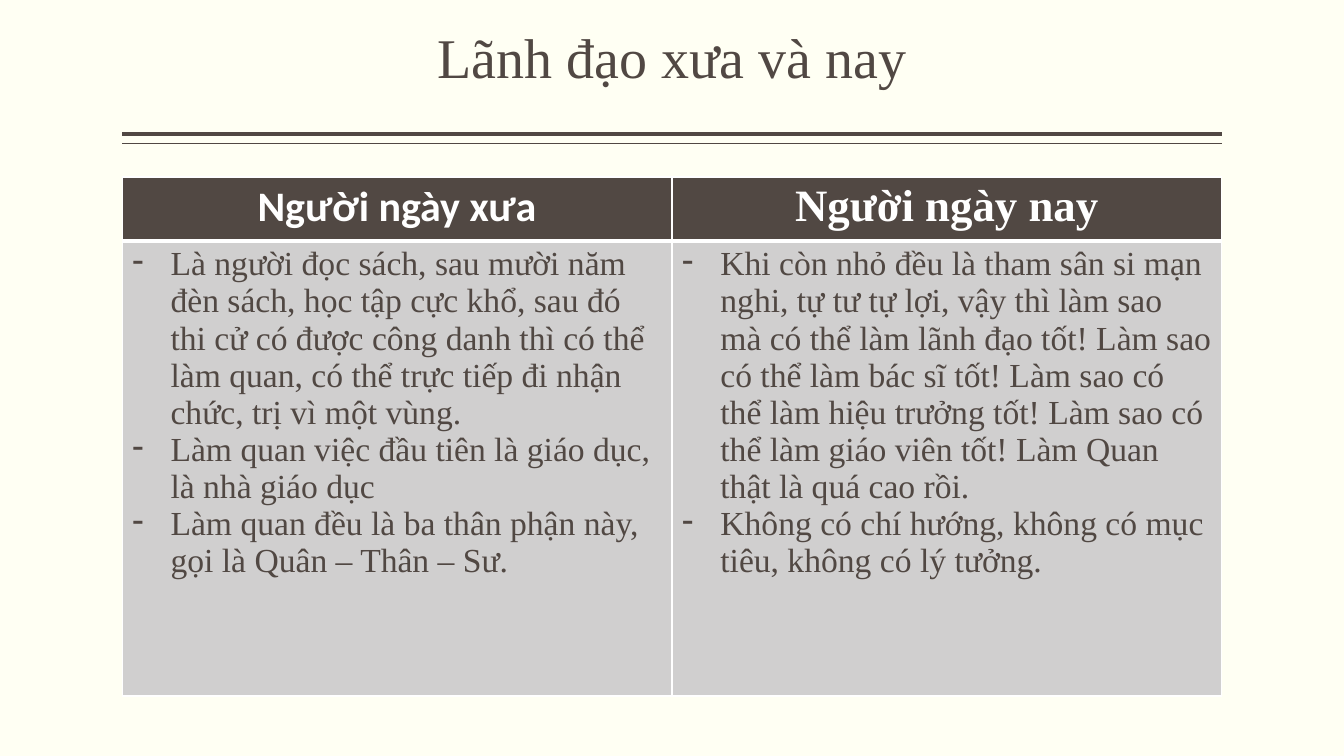
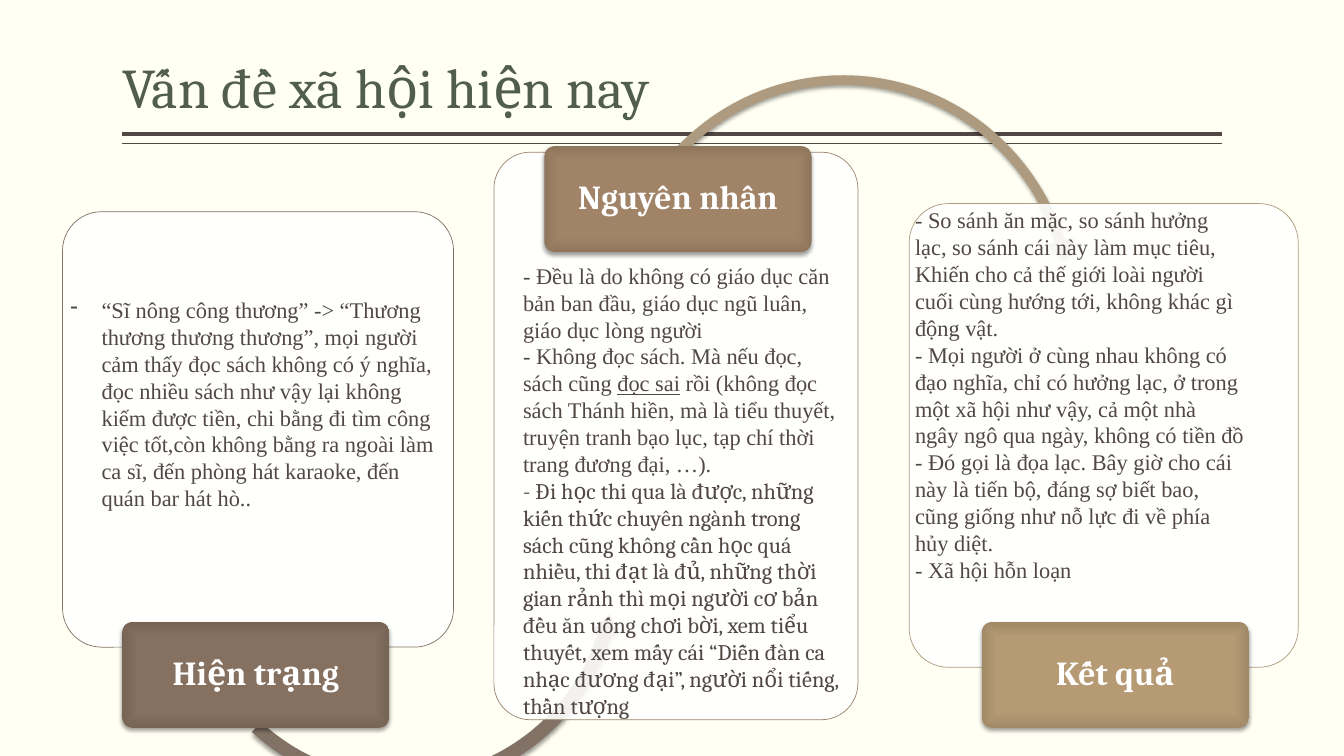
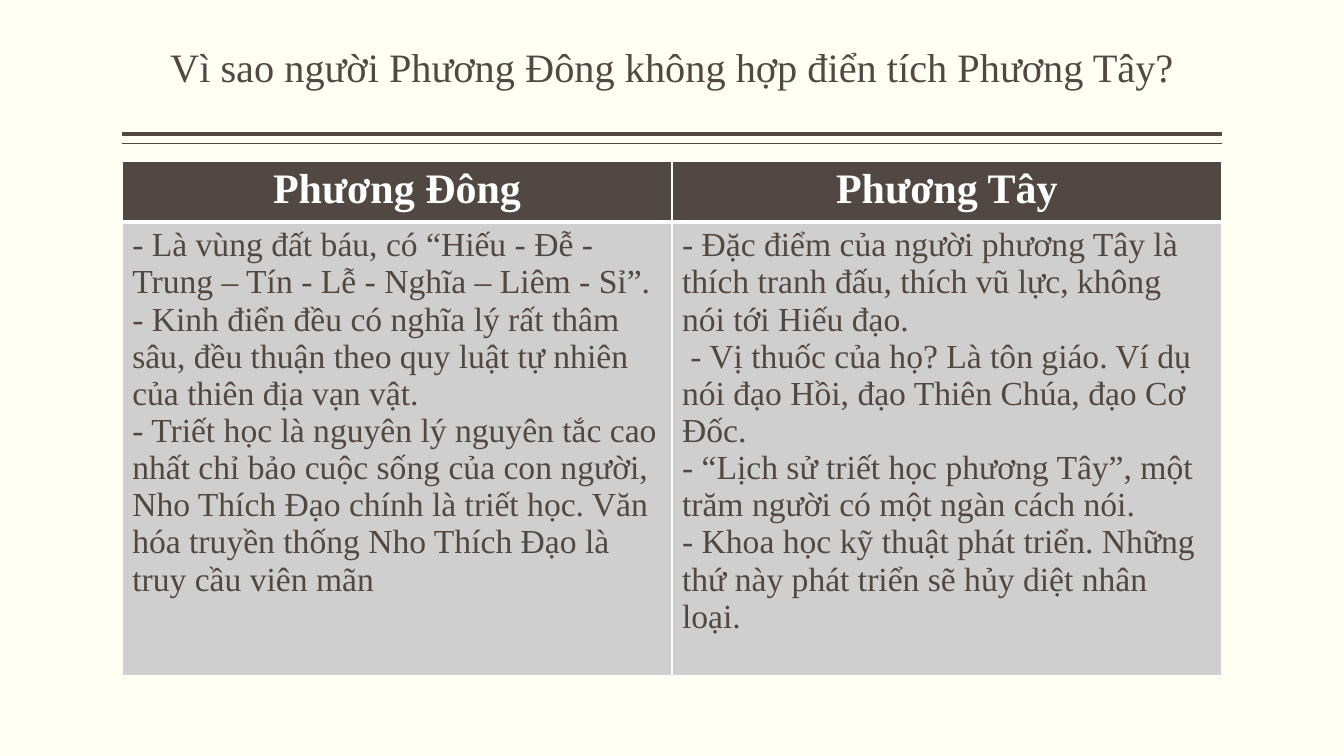
from lxml.etree import SubElement
from pptx import Presentation
from pptx.dml.color import RGBColor
from pptx.enum.shapes import MSO_CONNECTOR, MSO_SHAPE
from pptx.enum.text import MSO_ANCHOR, PP_ALIGN
from pptx.oxml import parse_xml
from pptx.oxml.ns import nsdecls, qn
from pptx.util import Inches, Pt

COLORS = {
    "paper": "FFFFF3", "ink": "514843", "white": "FFFFFF", "cell": "D0CFCF",
    "green": "525E4C", "brown": "827266", "clay": "9A8570", "sand": "AE9A7E",
}
SERIF, CAMBRIA, SANS = "Times New Roman", "Cambria", "Calibri"
LEFT, WIDE = 9.09, 81.82
CARD_EDGE = 0.5
BADGE = (19.88, 14)


def rgb(name):
    return RGBColor.from_string(COLORS.get(name, name))


def write(frame, paras, size=16, font=SERIF, color="ink", bold=False,
          align=PP_ALIGN.LEFT, anchor=MSO_ANCHOR.TOP, spacing=None, hang=None):
    """Fill a frame; a paragraph is a string or a list of (text, format) runs."""
    frame.word_wrap = True
    frame.vertical_anchor = anchor
    for i, runs in enumerate(paras):
        para = frame.paragraphs[0] if i == 0 else frame.add_paragraph()
        para.alignment = align
        if spacing:
            para.line_spacing = spacing
        if hang:
            props = para._p.get_or_add_pPr()
            props.set("marL", str(Inches(hang)))
            props.set("indent", str(-Inches(hang)))
            SubElement(props, qn("a:buChar")).set("char", "-")
        for text, form in [(runs, {})] if isinstance(runs, str) else runs:
            run = para.add_run()
            run.text = text
            run.font.size = Pt(size)
            run.font.name = form.get("font", font)
            run.font.bold = bold
            run.font.underline = form.get("under", False)
            run.font.color.rgb = rgb(color)


class Deck:
    """Style and current slide; lengths are percent of the slide's size."""

    def __init__(self):
        self.show = Presentation()
        self.show.slide_width = Inches(13.33)
        self.show.slide_height = Inches(7.5)
        self.slide = None

    def across(self, share):
        return round(self.show.slide_width * share / 100)

    def down(self, share):
        return round(self.show.slide_height * share / 100)

    def box(self, x, y, w, h):
        return self.across(x), self.down(y), self.across(w), self.down(h)

    def page(self, title, top=1.07, width=WIDE, size=40, **form):
        self.slide = self.show.slides.add_slide(self.show.slide_layouts[6])
        fill = self.slide.background.fill
        fill.solid()
        fill.fore_color.rgb = rgb("paper")
        for y, weight in ((17.73, 3), (19, 1)):
            self.rule(y, weight)
        frame = self.text((LEFT, top, width, 11.6), [title], size=size,
                          anchor=MSO_ANCHOR.BOTTOM, spacing=0.9, **form)
        frame.margin_left = frame.margin_right = 0

    def rule(self, y, weight):
        line = self.slide.shapes.add_connector(
            MSO_CONNECTOR.STRAIGHT, self.across(LEFT), self.down(y),
            self.across(LEFT + WIDE), self.down(y))
        line.line.color.rgb = rgb("ink")
        line.line.width = Pt(weight)
        SubElement(line._element.spPr, qn("a:effectLst"))

    def text(self, box, paras, **form):
        frame = self.slide.shapes.add_textbox(*self.box(*box)).text_frame
        write(frame, paras, **form)
        return frame

    def shape(self, kind, box, fill, adjust, edge=None, shadow=False):
        shape = self.slide.shapes.add_shape(kind, *self.box(*box))
        for i, value in enumerate(adjust):
            shape.adjustments[i] = value
        shape.fill.solid()
        shape.fill.fore_color.rgb = rgb(fill)
        if edge:
            shape.line.color.rgb = rgb(edge)
            shape.line.width = Pt(CARD_EDGE)
        else:
            shape.line.fill.background()
        shape.shadow.inherit = False
        if shadow:
            shape._element.spPr.find(qn("a:effectLst")).append(parse_xml(
                f'<a:outerShdw {nsdecls("a")} blurRad="{Pt(3.1)}" dist="{Pt(2)}" '
                'dir="5400000" rotWithShape="0"><a:srgbClr val="000000">'
                '<a:alpha val="38000"/></a:srgbClr></a:outerShdw>'))
        return shape

    def card(self, box, edge):
        shape = self.shape(MSO_SHAPE.ROUNDED_RECTANGLE, box, "white", [0.1], edge)
        tint = shape._element.spPr.find(qn("a:solidFill"))[0]
        SubElement(tint, qn("a:alpha")).set("val", "90000")

    def badge(self, x, y, label, shades):
        """Label block shaded from its centre to its rim."""
        shape = self.shape(MSO_SHAPE.ROUNDED_RECTANGLE, (x, y, *BADGE),
                           shades[0], [0.1], shadow=True)
        stops = "".join(
            f'<a:gs pos="{pos * 1000}"><a:srgbClr val="{shade}"/></a:gs>'
            for pos, shade in zip((0, 71, 100), shades))
        props = shape._element.spPr
        props.replace(props.find(qn("a:solidFill")), parse_xml(
            f'<a:gradFill {nsdecls("a")} rotWithShape="1"><a:gsLst>{stops}</a:gsLst>'
            '<a:path path="rect"><a:fillToRect l="50000" t="50000" r="50000" '
            'b="50000"/></a:path></a:gradFill>'))
        write(shape.text_frame, [label], size=24, font=CAMBRIA, color="white",
              bold=True, align=PP_ALIGN.CENTER, anchor=MSO_ANCHOR.MIDDLE,
              spacing=0.9)

    def table(self, y, heights, heads, bodies, hang=None):
        """Two-row table; each head is (text, format)."""
        count = len(heads)
        table = self.slide.shapes.add_table(
            2, count, *self.box(LEFT, y, WIDE, sum(heights))).table
        for row, height in zip(table.rows, heights):
            row.height = self.down(height)
        for i, ((head, form), body) in enumerate(zip(heads, bodies)):
            table.columns[i].width = self.across(WIDE / count)
            top, low = table.cell(0, i), table.cell(1, i)
            self.cell(top, "ink", {"B": 3})
            self.cell(low, "cell", {"T": 3})
            write(top.text_frame, [head], color="white", bold=True,
                  align=PP_ALIGN.CENTER, **form)
            write(low.text_frame, body, size=24, hang=hang)

    def cell(self, cell, fill, thick):
        """Fill a cell and draw white borders, 1 pt unless a side is thick."""
        props = cell._tc.get_or_add_tcPr()
        for side in "LRTB":
            line = SubElement(props, qn(f"a:ln{side}"), w=str(Pt(thick.get(side, 1))))
            SubElement(SubElement(line, qn("a:solidFill")), qn("a:srgbClr"),
                       val=COLORS["white"])
        cell.fill.solid()
        cell.fill.fore_color.rgb = rgb(fill)


def past(deck):
    deck.page("Lãnh đạo xưa và nay", align=PP_ALIGN.CENTER)
    deck.table(
        23.4, (8, 60.2),
        [("Người ngày xưa", {"size": 30, "font": SANS}),
         ("Người ngày nay", {"size": 32})],
        [["Là người đọc sách, sau mười năm đèn sách, học tập cực khổ, sau đó thi cử "
          "có được công danh thì có thể làm quan, có thể trực tiếp đi nhận chức, "
          "trị vì một vùng.",
          "Làm quan việc đầu tiên là giáo dục, là nhà giáo dục",
          "Làm quan đều là ba thân phận này, gọi là Quân – Thân – Sư."],
         ["Khi còn nhỏ đều là tham sân si mạn nghi, tự tư tự lợi, vậy thì làm sao mà "
          "có thể làm lãnh đạo tốt! Làm sao có thể làm bác sĩ tốt! Làm sao có thể "
          "làm hiệu trưởng tốt! Làm sao có thể làm giáo viên tốt! Làm Quan thật là "
          "quá cao rồi.",
          "Không có chí hướng, không có mục tiêu, không có lý tưởng."]],
        hang=0.38)


def today(deck):
    deck.page("Vấn đề xã hội hiện nay", top=5.07, width=86.78,
              font=CAMBRIA, color="green")
    deck.card((4.65, 28, 29.1, 57.6), "brown")
    deck.shape(MSO_SHAPE.LEFT_CIRCULAR_ARROW, (12.98, 45.47, 33.75, 60), "brown",
               (0.03, 3.06, 10.22, 79.65, 0.03), shadow=True)
    deck.badge(LEFT, 82.27, "Hiện trạng", ("877161", "867060", "776455"))
    deck.card((36.75, 20.13, 27.08, 75.07), "clay")
    deck.shape(MSO_SHAPE.CIRCULAR_ARROW, (44.7, 8.67, 36.08, 65.6), "sand",
               (0.02, 2.79, 204.91, 135.21, 0.03), shadow=True)
    deck.badge(40.5, 19.33, "Nguyên nhân", ("A28568", "A18467", "8F765C"))
    deck.card((67.65, 26.93, 28.95, 61.33), "sand")
    deck.badge(73.05, 82.27, "Kết quả", ("B79B75", "B59A74", "A18967"))
    deck.text((4.5, 38.53, 28.65, 33.6), [
        "“Sĩ nông công thương” -> “Thương thương thương thương”, mọi người cảm thấy "
        "đọc sách không có ý nghĩa, đọc nhiều sách như vậy lại không kiếm được tiền, "
        "chi bằng đi tìm công việc tốt,còn không bằng ra ngoài làm ca sĩ, đến phòng "
        "hát karaoke, đến quán bar hát hò.."], hang=0.31)
    deck.text((38.18, 34, 25.05, 62.4), [
        "- Đều là do không có giáo dục căn bản ban đầu, giáo dục ngũ luân, giáo dục "
        "lòng người",
        [("- Không đọc sách. Mà nếu đọc, sách cũng ", {}),
         ("đọc sai", {"under": True}),
         (" rồi (không đọc sách Thánh hiền, mà là tiểu thuyết, truyện tranh bạo lục, "
          "tạp chí thời trang đương đại, …).", {})],
        [("- Đi học thi qua là được, những kiến thức chuyên ngành trong sách cũng "
          "không cần học quá nhiều, thi đạt là đủ, những thời gian rảnh thì mọi người "
          "cơ bản đều ăn uống chơi bời, xem tiểu thuyết, xem mấy cái “Diễn đàn ca "
          "nhạc đương đại”, người nổi tiếng, thần tượng", {"font": CAMBRIA})]])
    deck.text((67.35, 26.67, 25.95, 66), [
        "- So sánh ăn mặc, so sánh hưởng lạc, so sánh cái này làm mục tiêu, Khiến cho "
        "cả thế giới loài người cuối cùng hướng tới, không khác gì động vật.",
        "- Mọi người ở cùng nhau không có đạo nghĩa, chỉ có hưởng lạc, ở trong một xã "
        "hội như vậy, cả một nhà ngây ngô qua ngày, không có tiền đồ",
        "- Đó gọi là đọa lạc. Bây giờ cho cái này là tiến bộ, đáng sợ biết bao, cũng "
        "giống như nỗ lực đi về phía hủy diệt.",
        "- Xã hội hỗn loạn"])


def east(deck):
    deck.page("Vì sao người Phương Đông không hợp điển tích Phương Tây?",
              size=28.8, align=PP_ALIGN.CENTER)
    deck.table(
        21.33, (7.4, 59.3),
        [("Phương Đông", {"size": 30}), ("Phương Tây", {"size": 30})],
        [["- Là vùng đất báu, có “Hiếu - Đễ - Trung – Tín - Lễ - Nghĩa – Liêm - Sỉ”.",
          "- Kinh điển đều có nghĩa lý rất thâm sâu, đều thuận theo quy luật tự nhiên "
          "của thiên địa vạn vật.",
          "- Triết học là nguyên lý nguyên tắc cao nhất chỉ bảo cuộc sống của con "
          "người, Nho Thích Đạo chính là triết học. Văn hóa truyền thống Nho Thích "
          "Đạo là truy cầu viên mãn"],
         ["- Đặc điểm của người phương Tây là thích tranh đấu, thích vũ lực, không "
          "nói tới Hiếu đạo.",
          " - Vị thuốc của họ? Là tôn giáo. Ví dụ nói đạo Hồi, đạo Thiên Chúa, đạo "
          "Cơ Đốc.",
          "- “Lịch sử triết học phương Tây”, một trăm người có một ngàn cách nói.",
          "- Khoa học kỹ thuật phát triển. Những thứ này phát triển sẽ hủy diệt nhân "
          "loại."]])


def main():
    deck = Deck()
    for build in (past, today, east):
        build(deck)
    deck.show.save("out.pptx")


if __name__ == "__main__":
    main()
